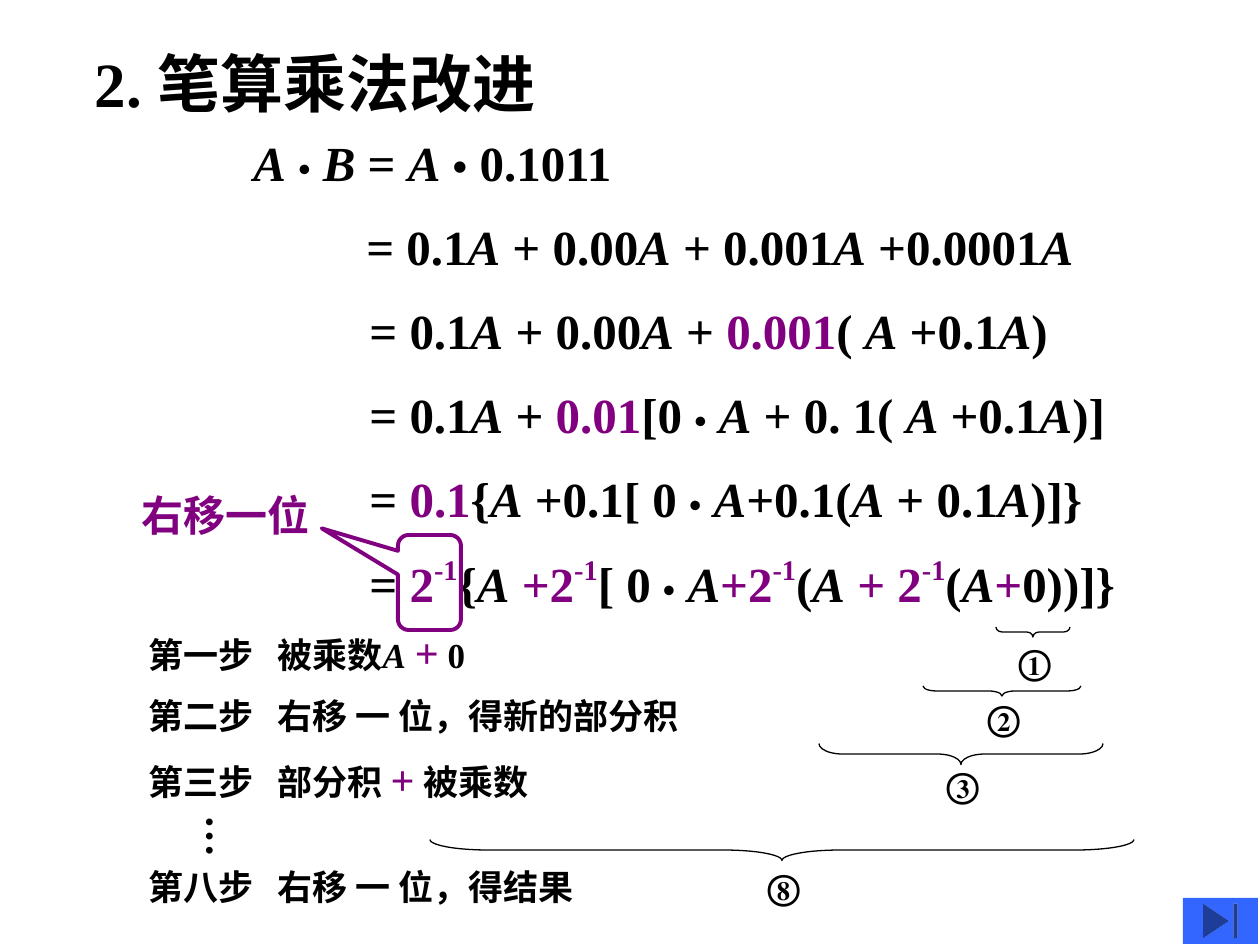
from itertools import groupby

from pptx import Presentation
from pptx.dml.color import RGBColor
from pptx.enum.shapes import MSO_SHAPE
from pptx.enum.text import MSO_ANCHOR, MSO_AUTO_SIZE, PP_ALIGN
from pptx.util import Emu, Pt

BRACE = MSO_SHAPE.LEFT_BRACE
CALLOUT = MSO_SHAPE.ROUNDED_RECTANGULAR_CALLOUT
BUTTON = MSO_SHAPE.ACTION_BUTTON_END
LEFT, TOP, FIXED = PP_ALIGN.LEFT, MSO_ANCHOR.TOP, MSO_AUTO_SIZE.NONE

PX = 914400 // 126


class Theme:
    font = "Times New Roman"
    ink = RGBColor(0, 0, 0)
    accent = RGBColor(0x80, 0, 0x80)
    button = RGBColor(0x33, 0x66, 0xFF)
    title, math, mid, small = 36, 28, 24, 20
    thin, thick = 0.75, 2.25


# Marks in text: |accent colour|, ^superscript^, ~middle size~
TITLE = "2. 笔算乘法改进"
LINES = [  # left, width, text
    (241, 383, "A • B = A ~•~ 0.1011"),
    (354, 733, "= 0.1A + 0.00A + 0.001A +0.0001A"),
    (357, 704, "= 0.1A + 0.00A + |0.001|( A +0.1A)"),
    (357, 762, "= 0.1A + |0.01|[0 • A + 0. 1( A +0.1A)]"),
    (357, 740, "= |0.1|{A +0.1[ 0 • A+0.1(A + 0.1A)]}"),
    (357, 789, "= |2^-1^|{A |+2^-1^|[ 0 • A|+2^-1^|(A |+ 2^-1^|(A|+|0))]}"),
]
LINE_TOP, LINE_STEP, LINE_H = 126, 84, 72
STEPS = [  # top, width, text
    (620, 400, "第一步   被乘数A |~+~| 0"),
    (688, 573, "第二步   右移 一 位，得新的部分积"),
    (747, 525, "第三步   部分积 |~+~| 被乘数"),
    (859, 553, "第八步   右移 一 位，得结果"),
]
BRACES = [  # centre x, centre y, span, depth, label, label top
    (1033, 632, 74, 10, "①", 634),
    (1002, 691, 158, 10, "②", 690),
    (961, 754, 284, 21, "③", 757),
    (782, 850, 704, 21, "⑧", 859),
]
DOTS = (179, 803, 76, 54)
NOTE = (126, 480, 209, 67)
FRAME = (398, 535, 63, 95)
NEXT = (1183, 898, 75, 46)


def box(*nums):
    return [Emu(round(n * PX)) for n in nums]


def parse(text):
    """Split marked text into (characters, style) runs."""
    marks, chars = dict.fromkeys("|^~", False), []
    for char in text:
        if char in marks:
            marks[char] = not marks[char]
        else:
            style = (*marks.values(), char in "AB", char == "•")
            chars.append((char, style))
    for style, group in groupby(chars, key=lambda pair: pair[1]):
        yield "".join(char for char, _ in group), style


def write(shape, text, size):
    frame = shape.text_frame
    frame.word_wrap, frame.auto_size = True, FIXED
    frame.vertical_anchor = TOP
    para = frame.paragraphs[0]
    para.alignment = LEFT
    for part, (accent, raised, mid, slant, dot) in parse(text):
        run = para.add_run()
        run.text = part
        font = run.font
        font.name, font.bold, font.italic = Theme.font, True, slant
        font.color.rgb = Theme.accent if accent else Theme.ink
        font.size = Pt(Theme.mid if mid else Theme.small if dot else size)
        if raised:
            font._element.set("baseline", "45000")


def label(slide, place, text, size):
    shape = slide.shapes.add_textbox(*box(*place))
    write(shape, text, size)
    return shape


def outline(slide, kind, place, color=None, width=0):
    shape = slide.shapes.add_shape(kind, *box(*place))
    shape.shadow.inherit = False
    shape.fill.background()
    if color is None:
        shape.line.fill.background()
    else:
        shape.line.color.rgb = color
        shape.line.width = Pt(width)
    return shape


def adjust(shape, *values):
    for i, value in enumerate(values):
        shape.adjustments[i] = value


def brace(slide, x, y, span, depth, text, top):
    """Draw a brace opening upward with its number below."""
    place = (x - depth / 2, y - span / 2, depth, span)
    shape = outline(slide, BRACE, place, Theme.ink, Theme.thin)
    shape.rotation = 270
    adjust(shape, span / depth / 12, 0.5)
    label(slide, (x - 27, top, 60, 54), text, Theme.small)


def main():
    deck = Presentation()
    deck.slide_width, deck.slide_height = box(1260, 945)
    slide = deck.slides.add_slide(deck.slide_layouts[5])

    title = slide.shapes.title
    title.left, title.top, title.width, title.height = box(82, 38, 467, 88)
    write(title, TITLE, Theme.title)

    for i, (left, width, text) in enumerate(LINES):
        place = (left, LINE_TOP + i * LINE_STEP, width, LINE_H)
        label(slide, place, text, Theme.math)
    for top, width, text in STEPS:
        label(slide, (136, top, width, 54), text, Theme.small)
    for item in BRACES:
        brace(slide, *item)

    dots = label(slide, DOTS, "…", Theme.mid)
    dots.text_frame._txBody.bodyPr.set("vert", "eaVert")

    note = outline(slide, CALLOUT, NOTE)
    adjust(note, 0.9, 0.74, 0.17)
    write(note, "|右移一位|", Theme.mid)
    frame = outline(slide, CALLOUT, FRAME, Theme.accent, Theme.thick)
    adjust(frame, -1.71, -0.57, 0.17)

    button = outline(slide, BUTTON, NEXT)
    button.fill.solid()
    button.fill.fore_color.rgb = Theme.button
    deck.save("out.pptx")


if __name__ == "__main__":
    main()
